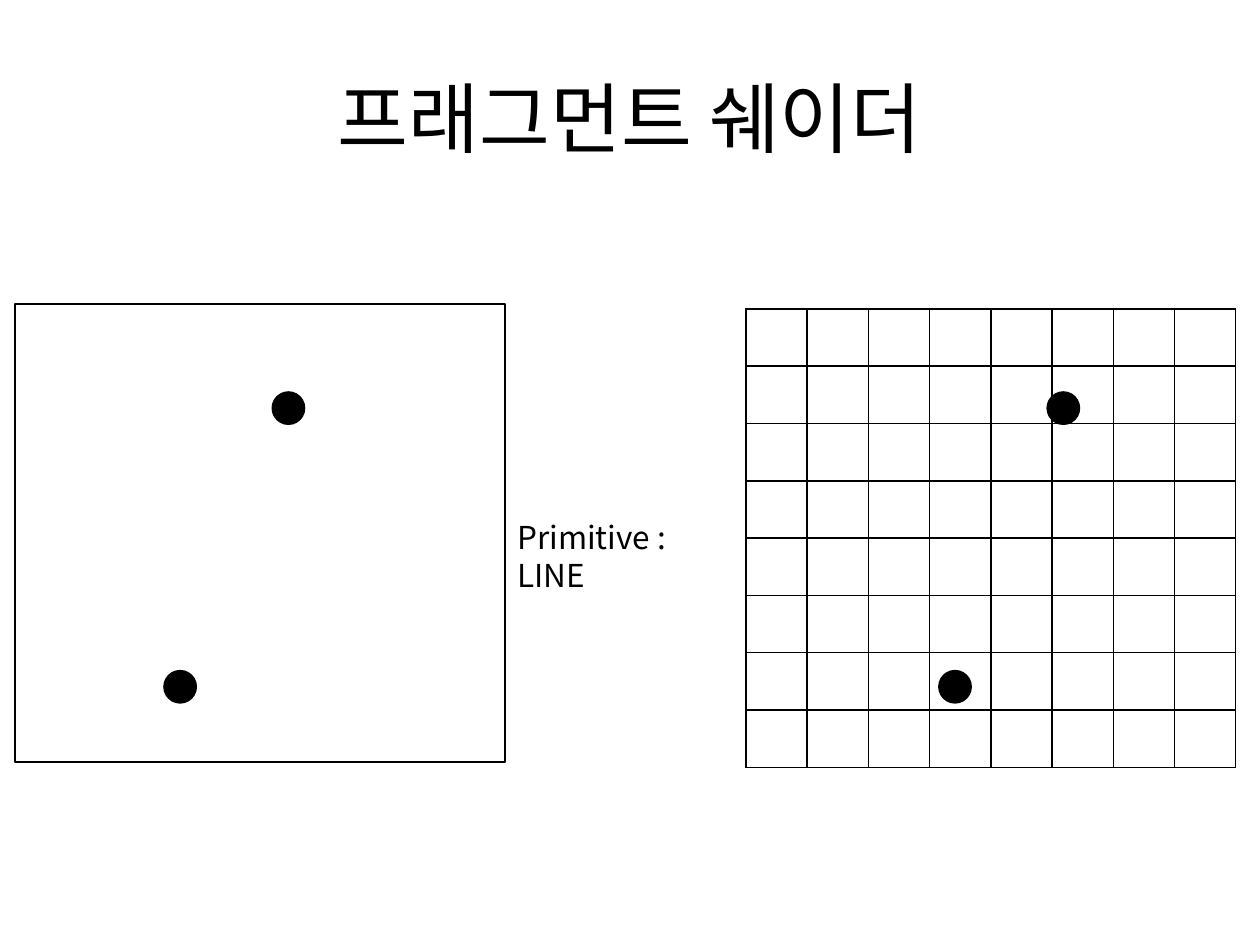
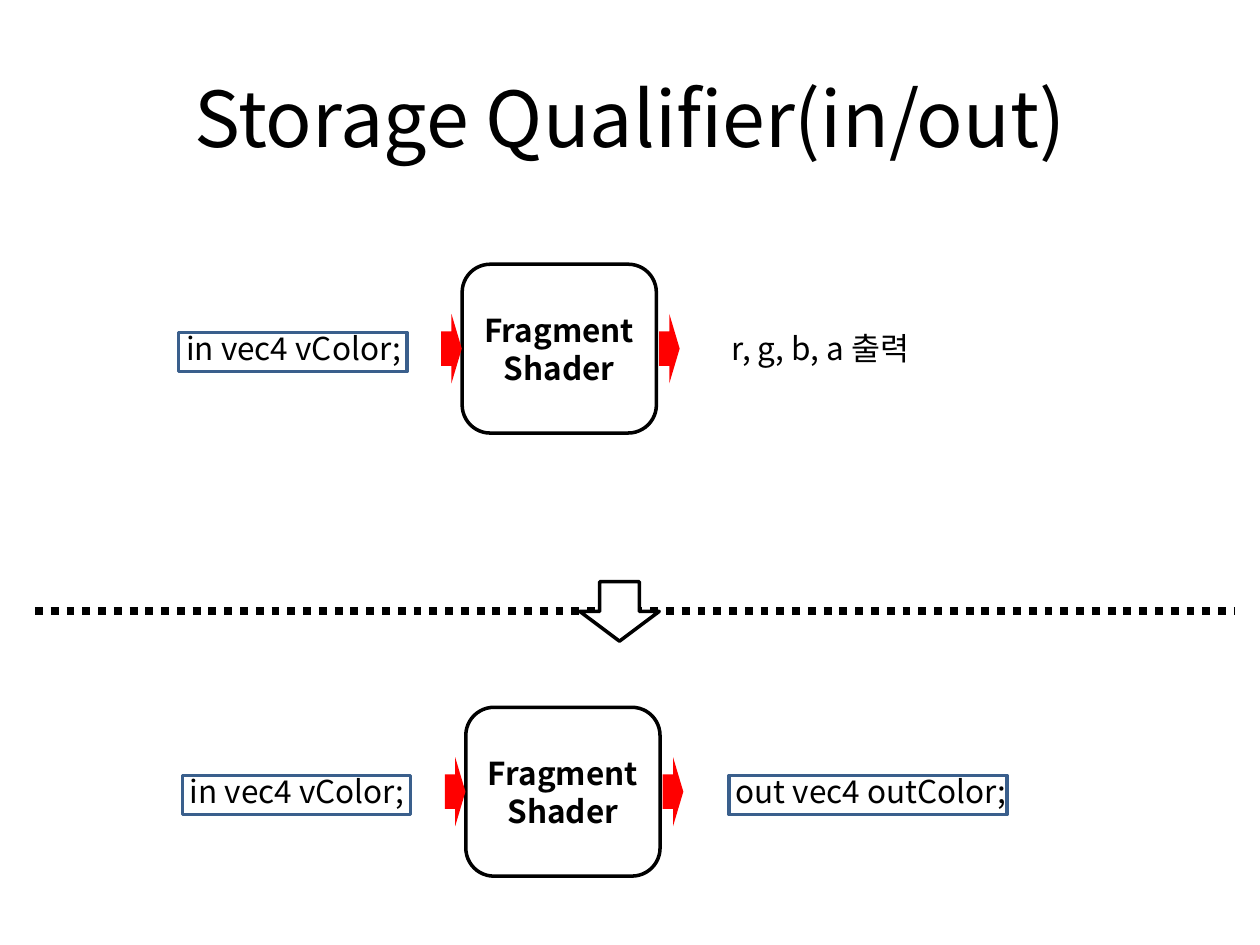
from lxml.etree import SubElement
from pptx import Presentation
from pptx.dml.color import RGBColor
from pptx.enum.dml import MSO_LINE
from pptx.enum.shapes import MSO_CONNECTOR, MSO_SHAPE as SHAPE
from pptx.enum.text import MSO_ANCHOR as ANCHOR, PP_ALIGN as ALIGN
from pptx.oxml.ns import qn
from pptx.util import Pt

FONT = "Noto Sans CJK KR"
COLORS = {"ink": "000000", "paper": "FFFFFF", "flow": "FF0000", "frame": "3A5F8C"}
GRID_SIZE = 8


def rgb(name):
    return RGBColor.from_string(COLORS[name])


# Shared helpers
def add_run(p, text, size=18, bold=False):
    r = p.add_run()
    r.text = text
    r.font.size, r.font.bold = Pt(size), bold
    r.font.color.rgb = rgb("ink")
    r.font.name = FONT
    SubElement(r.font._element, qn("a:ea"), typeface=FONT)


def add_slide(prs, title):
    slide = prs.slides.add_slide(prs.slide_layouts[5])
    sp = slide.shapes.title
    sp.left, sp.top, sp.width, sp.height = Pt(36), Pt(21.6), Pt(648), Pt(90)
    sp.text_frame.vertical_anchor = ANCHOR.MIDDLE
    p = sp.text_frame.paragraphs[0]
    p.alignment = ALIGN.CENTER
    add_run(p, title, 44)
    return slide


def add_box(shapes, kind, x, y, w, h, fill=None, line=None, weight=2):
    sp = shapes.add_shape(kind, Pt(x), Pt(y), Pt(w), Pt(h))
    sp.shadow.inherit = False
    if fill:
        sp.fill.solid()
        sp.fill.fore_color.rgb = rgb(fill)
    else:
        sp.fill.background()
    if line:
        sp.line.color.rgb = rgb(line)
        sp.line.width = Pt(weight)
    else:
        sp.line.fill.background()
    return sp


def add_label(shapes, text, x, y, w):
    tf = shapes.add_textbox(Pt(x), Pt(y), Pt(w), Pt(29)).text_frame
    tf.word_wrap = True
    p = tf.paragraphs[0]
    p.line_spacing = Pt(21.6)
    add_run(p, text)


# Slide 1: line end points on a plane and on a pixel grid
def add_end_points(slide, x, y):
    for dx, dy in ((85.7, 210.3), (147.6, 51.1)):
        add_box(slide.shapes, SHAPE.OVAL, x + dx, y + dy, 17.3, 17.3, "ink", "ink")


def add_cell_borders(cell):
    tc_pr = cell._tc.get_or_add_tcPr()
    for side in ("lnL", "lnR", "lnT", "lnB"):
        ln = SubElement(tc_pr, qn(f"a:{side}"), w=str(Pt(1)))
        fill = SubElement(ln, qn("a:solidFill"))
        SubElement(fill, qn("a:srgbClr"), val=COLORS["ink"])


def add_pixel_grid(slide, x, y, w, h):
    frame = slide.shapes.add_table(GRID_SIZE, GRID_SIZE, Pt(x), Pt(y), Pt(w), Pt(h))
    table = frame.table
    table.first_row = table.horz_banding = False
    for row in table.rows:
        row.height = Pt(h / GRID_SIZE)
    for col in table.columns:
        col.width = Pt(w / GRID_SIZE)
    for cell in table.iter_cells():
        cell.margin_top = cell.margin_bottom = 0
        add_cell_borders(cell)
        cell.fill.background()


def build_fragment_slide(prs):
    slide = add_slide(prs, "프래그먼트 쉐이더")
    x, y, w, h = 8.6, 173.5, 280, 262
    add_pixel_grid(slide, 426.3, 176.5, w, h)
    add_end_points(slide, x, y)
    add_label(slide.shapes, "Primitive : LINE", x + w, 292.3, 139.7)
    add_end_points(slide, x + 442.8, y)
    add_box(slide.shapes, SHAPE.RECTANGLE, x, y, w, h, line="ink", weight=1)


# Slide 2: shader stage with its input and output
def add_shader(slide, x, y):
    shapes = slide.shapes.add_group_shape().shapes
    sp = add_box(shapes, SHAPE.ROUNDED_RECTANGLE, x, y, 111, 96.5, "paper", "ink")
    tf = sp.text_frame
    tf.word_wrap = True
    tf.vertical_anchor = ANCHOR.MIDDLE
    p = tf.paragraphs[0]
    p.alignment = ALIGN.CENTER
    p.line_spacing = Pt(21.6)
    add_run(p, "Fragment Shader", bold=True)
    for dx in (112.5, -12):
        add_box(shapes, SHAPE.RIGHT_ARROW, x + dx, y + 28.4, 11.8, 39.6, "flow")


def add_stage(slide, x, y, output, output_framed=False):
    shapes = slide.shapes
    add_shader(slide, x + 164.7, y)
    add_label(shapes, "in vec4 vColor;", x, y + 33.3, 153.4)
    add_box(shapes, SHAPE.RECTANGLE, x + 2.7, y + 39, 130.5, 22.3, line="frame")
    add_label(shapes, output, x + 311.8, y + 33.3, 216.7)
    if output_framed:
        add_box(shapes, SHAPE.RECTANGLE, x + 315.2, y + 39, 158.8, 22.3, line="frame")


def add_divider(slide, x, y, w):
    line = slide.shapes.add_connector(
        MSO_CONNECTOR.STRAIGHT, Pt(x), Pt(y), Pt(x + w), Pt(y))
    line.line.color.rgb = rgb("ink")
    line.line.width = Pt(4.5)
    line.line.dash_style = MSO_LINE.ROUND_DOT
    SubElement(line._element.spPr, qn("a:effectLst"))
    add_box(slide.shapes, SHAPE.DOWN_ARROW, x + 311.3, y - 16.8, 45.4, 34,
            "paper", "ink")


def build_qualifier_slide(prs):
    slide = add_slide(prs, "Storage Qualifier(in/out)")
    add_stage(slide, 99.4, 151, "r, g, b, a 출력")
    add_divider(slide, 20, 349.2, 685.6)
    add_stage(slide, 101.5, 404.2, "out vec4 outColor;", output_framed=True)


def main():
    prs = Presentation()
    prs.slide_width, prs.slide_height = Pt(720), Pt(540)
    build_fragment_slide(prs)
    build_qualifier_slide(prs)
    prs.save("out.pptx")


if __name__ == "__main__":
    main()
